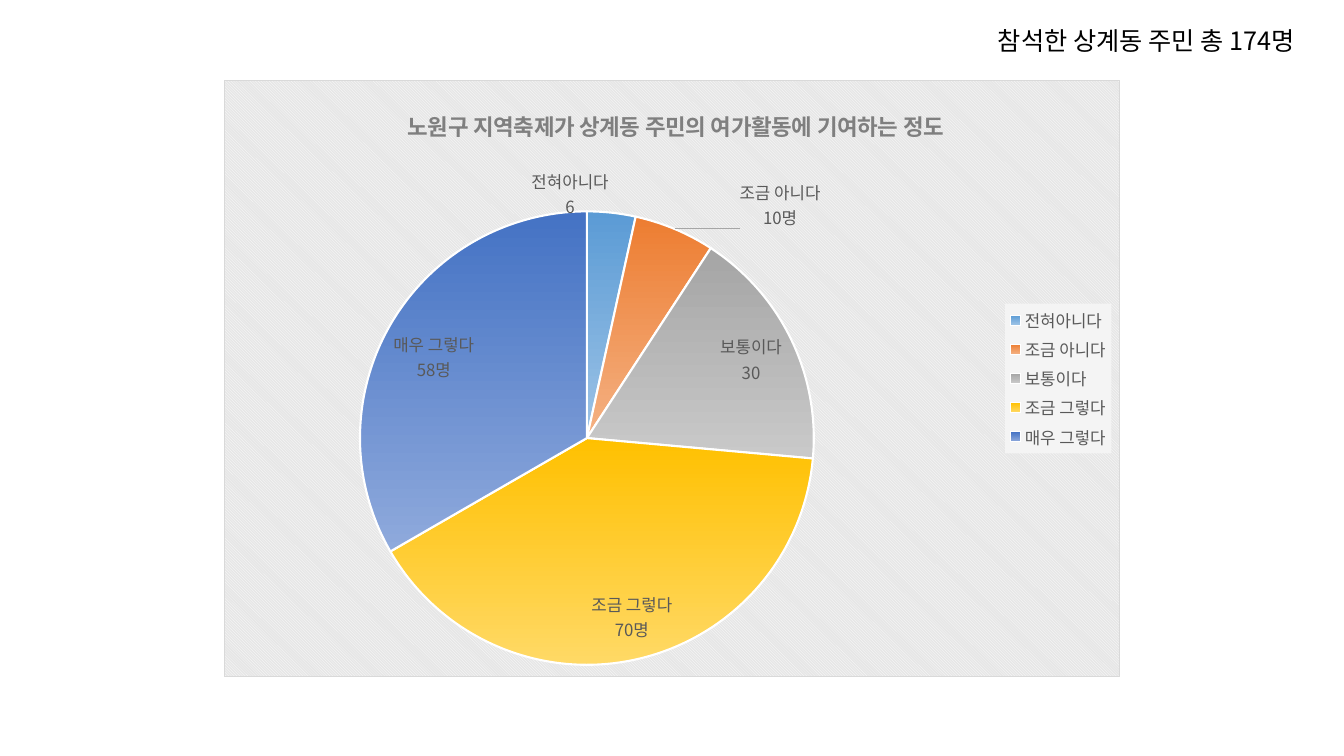
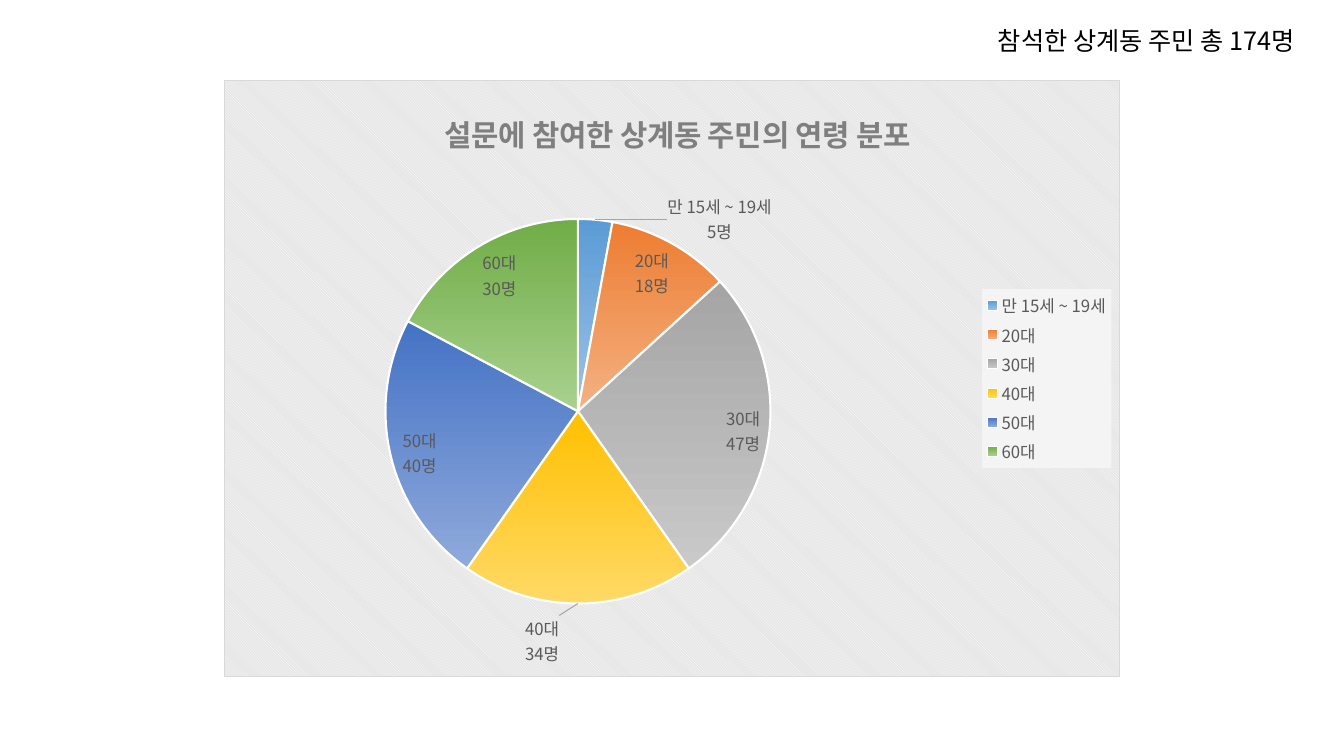
from dataclasses import dataclass

from lxml import etree
from pptx import Presentation
from pptx.chart.data import CategoryChartData as ChartData
from pptx.dml.color import RGBColor as Rgb
from pptx.enum.chart import XL_CHART_TYPE as ChartType
from pptx.enum.chart import XL_LABEL_POSITION as LabelPosition
from pptx.enum.chart import XL_LEGEND_POSITION as LegendPosition
from pptx.enum.text import MSO_AUTO_SIZE as AutoSize
from pptx.oxml import parse_xml
from pptx.oxml.ns import nsdecls, qn
from pptx.util import Inches, Pt


@dataclass(frozen=True)
class Theme:
    font: str = "Noto Sans CJK KR"
    ink: str = "000000"
    white: str = "FFFFFF"
    title: str = "7F7F7F"
    label: str = "595959"
    legend: str = "F4F4F4"
    stripe: str = "E6E6E6"
    border: str = "D9D9D9"
    leader: str = "A6A6A6"
    note_size: float = 18
    base_size: float = 10
    label_size: float = 12
    slices: tuple = (
        ("5B9BD5", "9DC3E6"),
        ("ED7D31", "F4B183"),
        ("A5A5A5", "C9C9C9"),
        ("FFC000", "FFD966"),
        ("4472C4", "8FAADC"),
        ("70AD47", "A9D18E"),
    )


NOTE = "참석한 상계동 주민 총 174명"
SURVEYS = (
    {
        "title": "노원구 지역축제가 상계동 주민의 여가활동에 기여하는 정도",
        "title_size": 16,
        "title_at": {"x": 0.2, "y": 0.04},
        "plot_at": {"x": 0.15, "y": 0.22, "w": 0.51, "h": 0.76},
        "rows": (
            ("전혀아니다", 6, ""),
            ("조금 아니다", 10, "명"),
            ("보통이다", 30, ""),
            ("조금 그렇다", 70, "명"),
            ("매우 그렇다", 58, "명"),
        ),
        "label_shifts": {0: {"x": -0.09, "y": 0.02}, 1: {"x": 0.07, "y": 0.01}},
    },
    {
        "title": "설문에 참여한 상계동 주민의 연령 분포",
        "title_size": 21.2,
        "title_at": {"x": 0.24, "y": 0.04},
        "plot_at": {"x": 0.18, "y": 0.23, "w": 0.43, "h": 0.65},
        "rows": (
            ("만 15세 ~ 19세", 5, "명"),
            ("20대", 18, "명"),
            ("30대", 47, "명"),
            ("40대", 34, "명"),
            ("50대", 40, "명"),
            ("60대", 30, "명"),
        ),
        "label_shifts": {0: {"x": 0.08, "y": 0.05}, 3: {"x": -0.04, "y": 0.01}},
    },
)


def set_all(target, **values):
    for name, value in values.items():
        setattr(target, name, value)


def layout_xml(place, edge=False, inner=False):
    target = '<c:layoutTarget val="inner"/>' if inner else ""
    modes = "".join(f'<c:{axis}Mode val="edge"/>' for axis in "xy") if edge else ""
    sizes = "".join(f'<c:{key} val="{value}"/>' for key, value in place.items())
    return parse_xml(
        f"<c:layout {nsdecls('c')}><c:manualLayout>{target}{modes}{sizes}"
        "</c:manualLayout></c:layout>"
    )


class SurveyDeck:
    def __init__(self, theme):
        self.theme = theme
        self.deck = Presentation()
        set_all(self.deck, slide_width=Inches(13.33), slide_height=Inches(7.5))
        self.page = None

    def add_page(self):
        self.page = self.deck.slides.add_slide(self.deck.slide_layouts[6])

    def style_font(self, font, size, color, bold=False):
        set_all(font, name=self.theme.font, size=Pt(size), bold=bold)
        font.color.rgb = Rgb.from_string(color)

    def add_asian_font(self, element):
        for latin in element.xpath(".//a:latin"):
            latin.addnext(etree.Element(qn("a:ea"), typeface=self.theme.font))

    def add_note(self, text):
        box = self.page.shapes.add_textbox(
            Inches(9.8), Inches(0.2), Inches(3.5), Inches(0.4)
        )
        set_all(box.text_frame, word_wrap=False, auto_size=AutoSize.SHAPE_TO_FIT_TEXT)
        span = box.text_frame.paragraphs[0].add_run()
        span.text = text
        self.style_font(span.font, self.theme.note_size, self.theme.ink)
        self.add_asian_font(box.element)

    def add_pie(self, survey):
        rows = survey["rows"]
        data = ChartData()
        data.categories = [name for name, _, _ in rows]
        data.add_series("Series 1", [count for _, count, _ in rows])
        chart = self.page.shapes.add_chart(
            ChartType.PIE, Inches(2.22), Inches(0.79), Inches(8.89), Inches(5.93), data
        ).chart
        self.style_font(chart.font, self.theme.base_size, self.theme.ink)
        chart.plots[0].vary_by_categories = True
        self.add_chart_title(chart, survey)
        self.add_legend(chart)
        self.paint_slices(chart)
        self.add_labels(chart, rows, survey["label_shifts"])
        self.paint_area(chart)
        self.place_plot(chart, survey["plot_at"])
        self.add_asian_font(chart.element)

    def add_chart_title(self, chart, survey):
        chart.has_title = True
        title = chart.chart_title
        title.include_in_layout = False
        span = title.text_frame.paragraphs[0].add_run()
        span.text = survey["title"]
        self.style_font(span.font, survey["title_size"], self.theme.title, True)
        element = chart.element.xpath("c:chart/c:title")[0]
        for layout in element.xpath("c:layout"):
            element.remove(layout)
        element.xpath("c:tx")[0].addnext(layout_xml(survey["title_at"], edge=True))

    def add_legend(self, chart):
        chart.has_legend = True
        legend = chart.legend
        set_all(legend, position=LegendPosition.RIGHT, include_in_layout=False)
        self.style_font(legend.font, self.theme.label_size, self.theme.label)
        fill = parse_xml(
            f"<c:spPr {nsdecls('c', 'a')}><a:solidFill>"
            f'<a:srgbClr val="{self.theme.legend}"/></a:solidFill></c:spPr>'
        )
        chart.element.xpath(".//c:legend/c:txPr")[0].addprevious(fill)

    def paint_slices(self, chart):
        series = chart.plots[0].series[0]
        for index, _ in enumerate(series.values):
            style = series.points[index].format
            style.fill.gradient()
            style.fill.gradient_angle = 270
            for stop, color in zip(style.fill.gradient_stops, self.theme.slices[index]):
                stop.color.rgb = Rgb.from_string(color)
            style.line.color.rgb = Rgb.from_string(self.theme.white)
            style.line.width = Pt(1.5)

    def add_labels(self, chart, rows, shifts):
        series = chart.plots[0].series[0]
        labels = series.data_labels
        set_all(
            labels,
            show_value=True,
            show_category_name=True,
            position=LabelPosition.BEST_FIT,
        )
        self.style_font(labels.font, self.theme.label_size, self.theme.label)
        for index, (name, count, unit) in enumerate(rows):
            label = series.points[index].data_label
            frame = label.text_frame
            frame.text = f"{name}\n{count}{unit}"
            for para in frame.paragraphs:
                for span in para.runs:
                    self.style_font(span.font, self.theme.label_size, self.theme.label)
            label.position = LabelPosition.BEST_FIT
        for index, shift in shifts.items():
            mark = chart.element.xpath(f'.//c:dLbl/c:idx[@val="{index}"]')[0]
            mark.addnext(layout_xml(shift))
        leader = parse_xml(
            f"<c:leaderLines {nsdecls('c', 'a')}><c:spPr>"
            f'<a:ln w="9525"><a:solidFill><a:srgbClr val="{self.theme.leader}"/>'
            "</a:solidFill></a:ln></c:spPr></c:leaderLines>"
        )
        for switch in chart.element.xpath(".//c:ser/c:dLbls/c:showLeaderLines"):
            switch.set("val", "1")
            switch.addnext(leader)

    def paint_area(self, chart):
        body = chart.element.xpath("c:chart")[0]
        for corners in chart.element.xpath("c:roundedCorners"):
            chart.element.remove(corners)
        body.addprevious(parse_xml(f'<c:roundedCorners {nsdecls("c")} val="0"/>'))
        body.addnext(
            parse_xml(
                f"<c:spPr {nsdecls('c', 'a')}>"
                '<a:pattFill prst="dkDnDiag">'
                f'<a:fgClr><a:srgbClr val="{self.theme.white}"/></a:fgClr>'
                f'<a:bgClr><a:srgbClr val="{self.theme.stripe}"/></a:bgClr>'
                '</a:pattFill><a:ln w="9525"><a:solidFill>'
                f'<a:srgbClr val="{self.theme.border}"/>'
                "</a:solidFill></a:ln></c:spPr>"
            )
        )

    def place_plot(self, chart, place):
        area = chart.element.xpath("c:chart/c:plotArea")[0]
        for layout in area.xpath("c:layout"):
            area.remove(layout)
        area.insert(0, layout_xml(place, edge=True, inner=True))


def main():
    survey_deck = SurveyDeck(Theme())
    for survey in SURVEYS:
        survey_deck.add_page()
        survey_deck.add_pie(survey)
        survey_deck.add_note(NOTE)
    survey_deck.deck.save("out.pptx")


if __name__ == "__main__":
    main()
